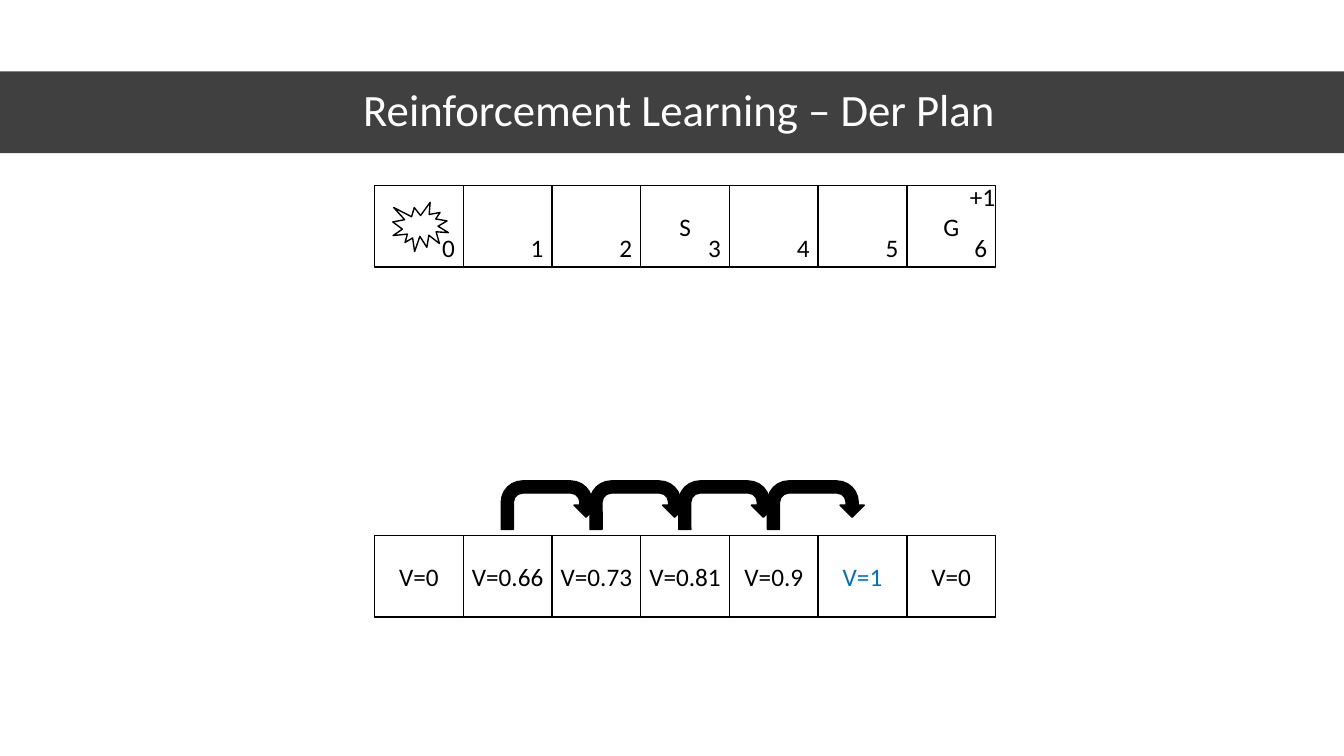
from lxml import etree
from pptx import Presentation
from pptx.dml.color import RGBColor
from pptx.enum.shapes import MSO_SHAPE as Shape
from pptx.enum.text import MSO_ANCHOR as Anchor, MSO_AUTO_SIZE as AutoSize, PP_ALIGN as Align
from pptx.oxml.ns import qn
from pptx.util import Cm, Pt

BLACK = RGBColor(0x00, 0x00, 0x00)
WHITE = RGBColor(0xFF, 0xFF, 0xFF)
BLUE = RGBColor(0x00, 0x70, 0xC0)
CELL_COUNT = 7
LABEL_HEIGHT = Cm(1.02)
VALUES = [("V=0", 1.52), ("V=0.66", 2.34), ("V=0.73", 2.34), ("V=0.81", 2.34),
          ("V=0.9", 2.01), ("V=1", 1.52), ("V=0", 1.52)]


def apply_format(target, values):
    """Set every attribute named in the dict on the target."""
    for name, value in values.items():
        setattr(target, name, value)


def write(shape, text, frame_format, size=18, color=BLACK, spacing=None):
    """Write one centred line of text into a shape."""
    frame = shape.text_frame
    apply_format(frame, frame_format)
    para = frame.paragraphs[0]
    apply_format(para, {"alignment": Align.CENTER, "line_spacing": spacing})
    span = para.add_run()
    span.text = text
    apply_format(span.font, {"name": "Calibri", "size": Pt(size)})
    span.font.color.rgb = color


def add_figure(shapes, kind, box, fill=WHITE):
    """Add a preset shape with a thin black outline."""
    figure = shapes.add_shape(kind, *box)
    figure.shadow.inherit = False
    figure.fill.solid()
    figure.fill.fore_color.rgb = fill
    figure.line.color.rgb = BLACK
    figure.line.width = Pt(1)
    return figure


def add_label(shapes, center, text, width, color=BLACK):
    """Add an unwrapped text box around a centre point."""
    x, y = center
    label = shapes.add_textbox(x - width // 2, y - LABEL_HEIGHT // 2, width, LABEL_HEIGHT)
    write(label, text, {"word_wrap": False, "auto_size": AutoSize.SHAPE_TO_FIT_TEXT}, color=color)


def add_row(shapes, box):
    """Add a row of equal cells and return them."""
    left, top, width, height = box
    pitch = width // CELL_COUNT
    return [add_figure(shapes, Shape.RECTANGLE, (left + i * pitch, top, pitch, height))
            for i in range(CELL_COUNT)]


def center_of(cell):
    """Return the centre point of a cell."""
    return cell.left + cell.width // 2, cell.top + cell.height // 2


def add_title(shapes, box):
    """Add the translucent band and the title over it."""
    left, top, width, height = box
    band = add_figure(shapes, Shape.RECTANGLE, box, BLACK)
    band.line.fill.background()
    color = band.fill._xPr.find(qn("a:solidFill"))[0]
    etree.SubElement(color, qn("a:alpha"), val="75000")
    title = shapes.add_textbox(left + Cm(1.55), top - Cm(0.02), width - Cm(2.73), height)
    write(title, "Reinforcement Learning – Der Plan",
          {"word_wrap": True, "vertical_anchor": Anchor.MIDDLE}, 32, WHITE, 0.9)


def add_world(shapes, box):
    """Add the numbered states with pit, start and goal."""
    world = shapes.add_group_shape().shapes
    cells = add_row(world, box)
    for number, cell in enumerate(cells):
        write(cell, str(number), {"word_wrap": True, "vertical_anchor": Anchor.BOTTOM,
                                  "margin_left": Cm(1.7), "margin_right": Cm(0.25)})
    add_label(world, center_of(cells[3]), "S", Cm(0.81))
    goal_x, goal_y = center_of(cells[6])
    add_label(world, (goal_x, goal_y), "G", Cm(0.91))
    left, top = box[:2]
    add_figure(world, Shape.EXPLOSION1, (left + Cm(0.46), top + Cm(0.43), Cm(1.4), Cm(1.24)))
    add_label(world, (goal_x + Cm(0.79), goal_y - Cm(0.75)), "+1", Cm(1.17))


def add_values(shapes, box):
    """Add the state values and the arrows leading to the goal."""
    cells = add_row(shapes, box)
    for cell, (text, width) in zip(cells, VALUES):
        color = BLUE if text == "V=1" else BLACK
        add_label(shapes, center_of(cell), text, Cm(width), color)
    for cell in cells[1:5]:
        x = center_of(cell)[0] - Cm(0.16)
        add_figure(shapes, Shape.U_TURN_ARROW,
                   (x, cell.top - Cm(1.37), Cm(2.44), Cm(1.22)), BLACK)


def main():
    """Build and save the slide."""
    deck = Presentation()
    apply_format(deck, {"slide_width": Cm(33.87), "slide_height": Cm(19.05)})
    shapes = deck.slides.add_slide(deck.slide_layouts[6]).shapes
    add_title(shapes, (0, Cm(1.8), deck.slide_width, Cm(2.06)))
    add_world(shapes, (Cm(9.44), Cm(4.67), Cm(15.65), Cm(2.06)))
    add_values(shapes, (Cm(9.44), Cm(13.49), Cm(15.65), Cm(2.06)))
    deck.save("out.pptx")


if __name__ == "__main__":
    main()
